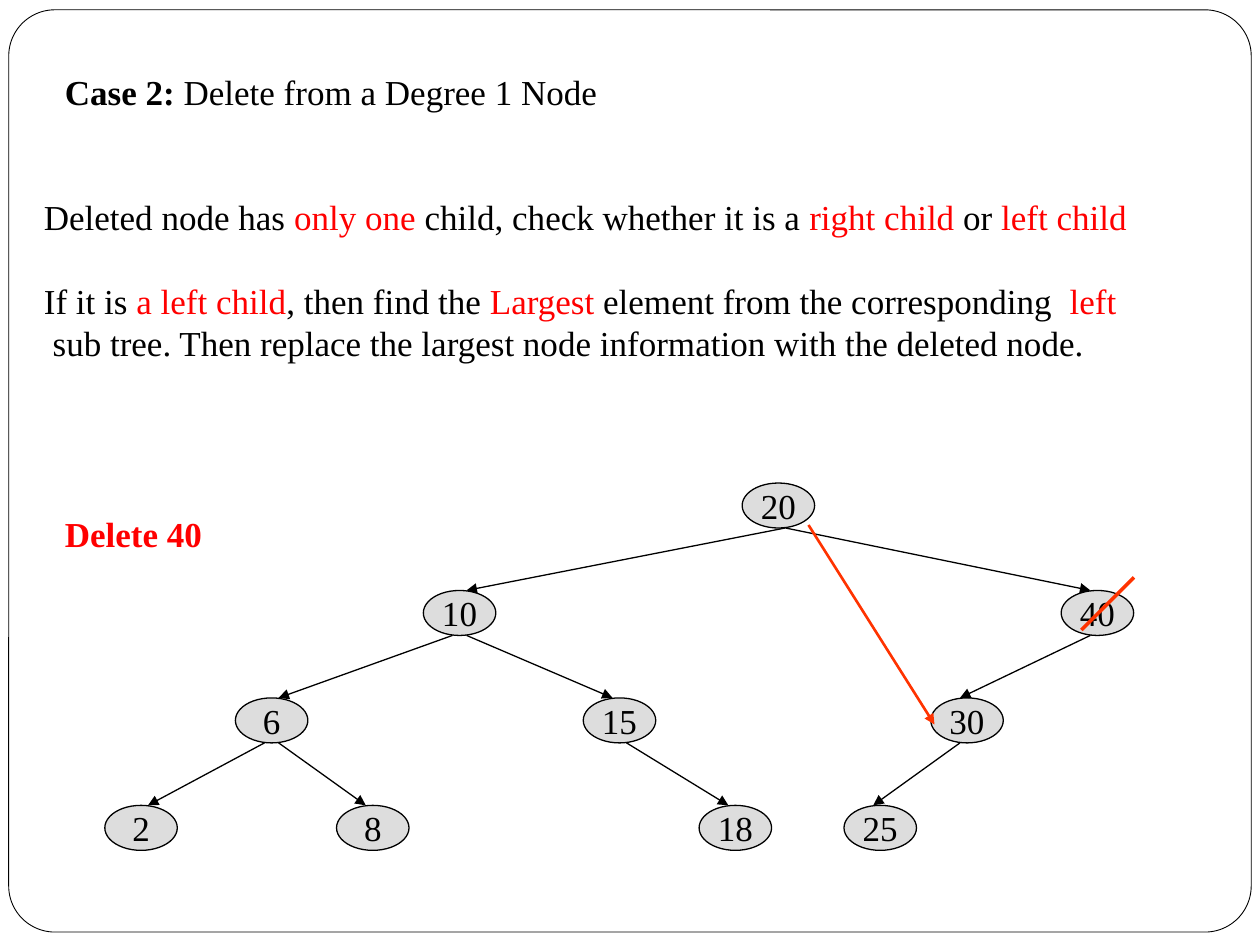
import pptx
import pptx.util
import pptx.dml.color
import pptx.enum.shapes
import pptx.enum.text
import pptx.oxml.ns
import lxml.etree

Pt = pptx.util.Pt
Kind = pptx.enum.shapes.MSO_SHAPE
Align = pptx.enum.text.PP_ALIGN
Anchor = pptx.enum.text.MSO_ANCHOR
qn = pptx.oxml.ns.qn
hues = {"black": "000000", "red": "FF0000", "mark": "FF3300", "node": "DDDDDD"}
tint = {name: pptx.dml.color.RGBColor.from_string(hue) for name, hue in hues.items()}


def add_run(para, text, hue="black", bold=False):
    run = para.add_run()
    run.text = text
    run.font.name = "Times New Roman"
    run.font.size = Pt(20)
    run.font.bold = bold
    run.font.color.rgb = tint[hue]


def add_line(start, end, hue, width, arrow=True):
    line = slide.shapes.add_connector(
        pptx.enum.shapes.MSO_CONNECTOR.STRAIGHT, *[Pt(v) for v in start + end])
    line.line.color.rgb = tint[hue]
    line.line.width = Pt(width)
    if arrow:
        lxml.etree.SubElement(line.line._get_or_add_ln(), qn("a:tailEnd"), type="triangle")
    lxml.etree.SubElement(line._element.spPr, qn("a:effectLst"))


deck = pptx.Presentation()
deck.slide_width, deck.slide_height = Pt(720), Pt(540)
slide = deck.slides.add_slide(deck.slide_layouts[6])

frame = slide.shapes.add_shape(Kind.ROUNDED_RECTANGLE, Pt(5), Pt(5.6), Pt(710), Pt(527))
frame.adjustments[0] = 0.05
frame.shadow.inherit = False
frame.fill.background()
frame.line.color.rgb = tint["black"]
frame.line.width = Pt(0.5)

title = slide.shapes.add_textbox(Pt(30), Pt(40), Pt(324), Pt(31.5)).text_frame
title.word_wrap = True
title.vertical_anchor = Anchor.BOTTOM
title.margin_bottom = Pt(7.2)
add_run(title.paragraphs[0], "Case 2: ", bold=True)
add_run(title.paragraphs[0], "Delete from a Degree 1 Node")

wide, high, top, step, shift = 41.4, 25.7, 276, 61.4, 4
nodes = {
    "20": (444.8, 0), "40": (627.1, 1), "10": (262.6, 1), "6": (155.2, 2),
    "2": (80.6, 3), "8": (213, 3), "15": (354, 2), "30": (552.6, 2),
    "25": (503, 3), "18": (420.2, 3),
}
for label, (mid, row) in nodes.items():
    node = slide.shapes.add_shape(
        Kind.OVAL, Pt(mid - wide / 2), Pt(top + row * step), Pt(wide), Pt(high))
    node.shadow.inherit = False
    node.fill.solid()
    node.fill.fore_color.rgb = tint["node"]
    node.line.color.rgb = tint["black"]
    node.line.width = Pt(0.75)
    text = node.text_frame
    text.word_wrap = False
    text.vertical_anchor = Anchor.MIDDLE
    text.paragraphs[0].alignment = Align.CENTER
    add_run(text.paragraphs[0], label)

edges = [
    ("20", 1, "10", 1), ("20", 1, "40", -1), ("10", -1, "6", 1),
    ("10", 1, "15", -1), ("40", -1, "30", -1), ("6", -1, "2", 1),
    ("6", 1, "8", -1), ("30", -1, "25", -1), ("15", 1, "18", -1),
]
for up, out, down, side in edges:
    (tail, row), (head, low) = nodes[up], nodes[down]
    add_line((tail + out * shift, top + row * step + high),
             (head + side * shift, top + low * step), "black", 0.75)

add_line((618, 360), (648, 330), "mark", 2, arrow=False)
add_line((462, 300), (534, 414), "mark", 1.5)

task = slide.shapes.add_textbox(Pt(30), Pt(289.5), Pt(150), Pt(31.5)).text_frame
task.word_wrap = True
add_run(task.paragraphs[0], "Delete 40", "red", True)

rules = [
    (0, 0, [("Deleted node has ", "black"), ("only one ", "red"),
            ("child, check whether it is a ", "black"), ("right child ", "red"),
            ("or ", "black"), ("left child", "red")]),
    (24, 0, [("If it is ", "black"), ("a left child", "red"),
             (", then find the ", "black"), ("Largest ", "red"),
             ("element from the corresponding  ", "black"), ("left", "red")]),
    (0, 5, [("sub tree. Then replace the largest node information "
             "with the deleted node.", "black")]),
]
body = slide.shapes.add_textbox(Pt(18), Pt(108), Pt(702), Pt(103.5)).text_frame
body.word_wrap = True
for rank, (gap, inset, parts) in enumerate(rules):
    para = body.add_paragraph() if rank else body.paragraphs[0]
    para.alignment = Align.JUSTIFY
    para.line_spacing = Pt(24)
    if gap:
        para.space_before = Pt(gap)
    if inset:
        para._p.get_or_add_pPr().set("marL", str(Pt(inset)))
    for words, hue in parts:
        add_run(para, words, hue)

deck.save("out.pptx")
